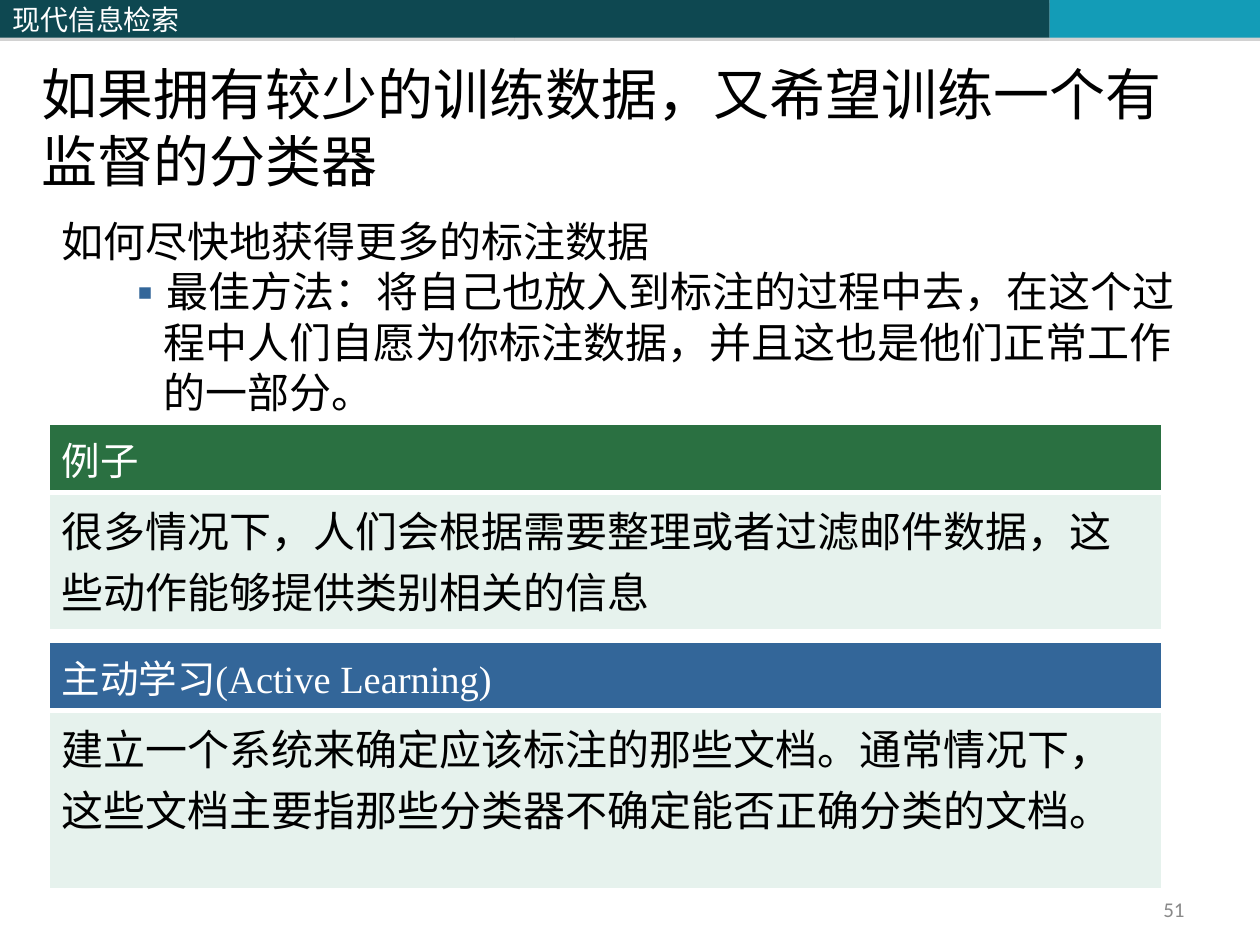
from dataclasses import dataclass

from lxml.etree import SubElement
from pptx import Presentation
from pptx.dml.color import RGBColor
from pptx.enum.shapes import MSO_SHAPE as Shape
from pptx.enum.text import MSO_ANCHOR as Anchor, PP_ALIGN as Align
from pptx.oxml.ns import qn
from pptx.util import Inches, Pt


@dataclass(frozen=True)
class Theme:
    # Colours
    bar: str = "0E4851"
    accent: str = "139CB7"
    shadow: str = "808080"
    green: str = "2A7041"
    blue: str = "336699"
    pale: str = "E6F2ED"
    white: str = "FFFFFF"
    black: str = "000000"
    grey: str = "898989"
    # Fonts and type sizes
    serif: str = "Times New Roman"
    sans: str = "Calibri"
    chinese: str = "Noto Sans CJK SC"
    title: int = 32
    body: int = 24
    heading: int = 22
    course: int = 16
    number: int = 12


THEME = Theme()


def add_colour(parent, colour, opacity=None):
    node = SubElement(parent, qn("a:srgbClr"), val=colour)
    if opacity is not None:
        SubElement(node, qn("a:alpha"), val=str(opacity * 1000))


def write(para, text, *, size, colour=THEME.black, font=THEME.serif,
          align=Align.LEFT, spacing=None):
    para.alignment = align
    if spacing:
        para.line_spacing = Pt(spacing)
    span = para.add_run()
    span.text = text
    span.font.size = Pt(size)
    span.font.name = font
    span.font.color.rgb = RGBColor.from_string(colour)
    SubElement(span.font._element, qn("a:ea"), typeface=THEME.chinese)


def add_bullet(para, *, mark, colour, left, hanging):
    props = para._p.get_or_add_pPr()
    props.set("lvl", "1")
    props.set("marL", str(Inches(left)))
    props.set("indent", str(-Inches(hanging)))
    add_colour(SubElement(props, qn("a:buClr")), colour)
    SubElement(props, qn("a:buFont"), typeface=THEME.chinese)
    SubElement(props, qn("a:buChar"), char=mark)


def add_box(page, left, top, width, height, *, anchor=Anchor.TOP,
            inset_top=0.05, inset_bottom=0.05):
    box = page.shapes.add_textbox(
        Inches(left), Inches(top), Inches(width), Inches(height))
    frame = box.text_frame
    frame.word_wrap = True
    frame.vertical_anchor = anchor
    frame.margin_top = Inches(inset_top)
    frame.margin_bottom = Inches(inset_bottom)
    return frame


def add_bar(page, left, width, colour):
    bar = page.shapes.add_shape(
        Shape.RECTANGLE, Inches(left), 0, Inches(width), Inches(0.3))
    bar.fill.solid()
    bar.fill.fore_color.rgb = RGBColor.from_string(colour)
    bar.line.fill.background()
    bar.shadow.inherit = False
    effects = bar._element.spPr.find(qn("a:effectLst"))
    shadow = SubElement(effects, qn("a:outerShdw"), blurRad="0",
                        dist=str(Pt(1.8)), dir="5400000", rotWithShape="0")
    add_colour(shadow, THEME.shadow, opacity=35)
    bar.text_frame.vertical_anchor = Anchor.MIDDLE
    return bar.text_frame


def set_borders(cell, **widths):
    props = cell._tc.get_or_add_tcPr()
    for index, side in enumerate("LRTB"):
        line = props.makeelement(
            qn(f"a:ln{side}"), {"w": str(Pt(widths.get(side, 1)))})
        add_colour(SubElement(line, qn("a:solidFill")), THEME.white)
        props.insert(index, line)


def add_panel(page, top, body_height, heading, body, colour):
    heights = (0.54, body_height)
    table = page.shapes.add_table(
        2, 1, Inches(0.39), Inches(top), Inches(8.83),
        Inches(sum(heights))).table
    rows = (
        (heading, colour, THEME.white, THEME.heading, {"B": 3}),
        (body, THEME.pale, THEME.black, THEME.body, {"T": 3}),
    )
    for index, (text, fill, ink, size, borders) in enumerate(rows):
        table.rows[index].height = Inches(heights[index])
        cell = table.cell(index, 0)
        cell.fill.solid()
        cell.fill.fore_color.rgb = RGBColor.from_string(fill)
        set_borders(cell, **borders)
        write(cell.text_frame.paragraphs[0], text, size=size, colour=ink)


def main():
    deck = Presentation()
    deck.slide_width, deck.slide_height = Inches(10), Inches(7.5)
    page = deck.slides.add_slide(deck.slide_layouts[6])

    # Top band with the course name
    course = add_bar(page, 0, 4.08, THEME.bar)
    write(course.paragraphs[0], "现代信息检索", size=THEME.course,
          colour=THEME.white, font=THEME.chinese)
    add_bar(page, 4.08, 4.25, THEME.bar)
    add_bar(page, 8.33, 1.67, THEME.accent)

    # Title
    title = add_box(page, 0.23, 0.01, 9.38, 1.53, anchor=Anchor.BOTTOM,
                    inset_bottom=0)
    write(title.paragraphs[0], "如果拥有较少的训练数据，又希望训练一个有监督的分类器",
          size=THEME.title, spacing=38.4)

    # Question and answer
    body = add_box(page, 0.39, 1.64, 9.3, 5.94, inset_top=0.07)
    write(body.paragraphs[0], "如何尽快地获得更多的标注数据",
          size=THEME.body, spacing=28.8)
    answer = body.add_paragraph()
    write(answer, "最佳方法：将自己也放入到标注的过程中去，在这个过程中人们自愿"
          "为你标注数据，并且这也是他们正常工作的一部分。",
          size=THEME.body, spacing=28.8)
    add_bullet(answer, mark="▪", colour=THEME.blue, left=0.81, hanging=0.31)

    # Example and method panels
    add_panel(page, 3.37, 1.09, "例子",
              "很多情况下，人们会根据需要整理或者过滤邮件数据，"
              "这些动作能够提供类别相关的信息", THEME.green)
    add_panel(page, 5.1, 1.41, "主动学习(Active Learning)",
              "建立一个系统来确定应该标注的那些文档。通常情况下，"
              "这些文档主要指那些分类器不确定能否正确分类的文档。", THEME.blue)

    # Page number
    number = add_box(page, 7.17, 7.08, 2.33, 0.27, anchor=Anchor.MIDDLE)
    write(number.paragraphs[0], "51", size=THEME.number, colour=THEME.grey,
          font=THEME.sans, align=Align.RIGHT)

    deck.save("out.pptx")


if __name__ == "__main__":
    main()
